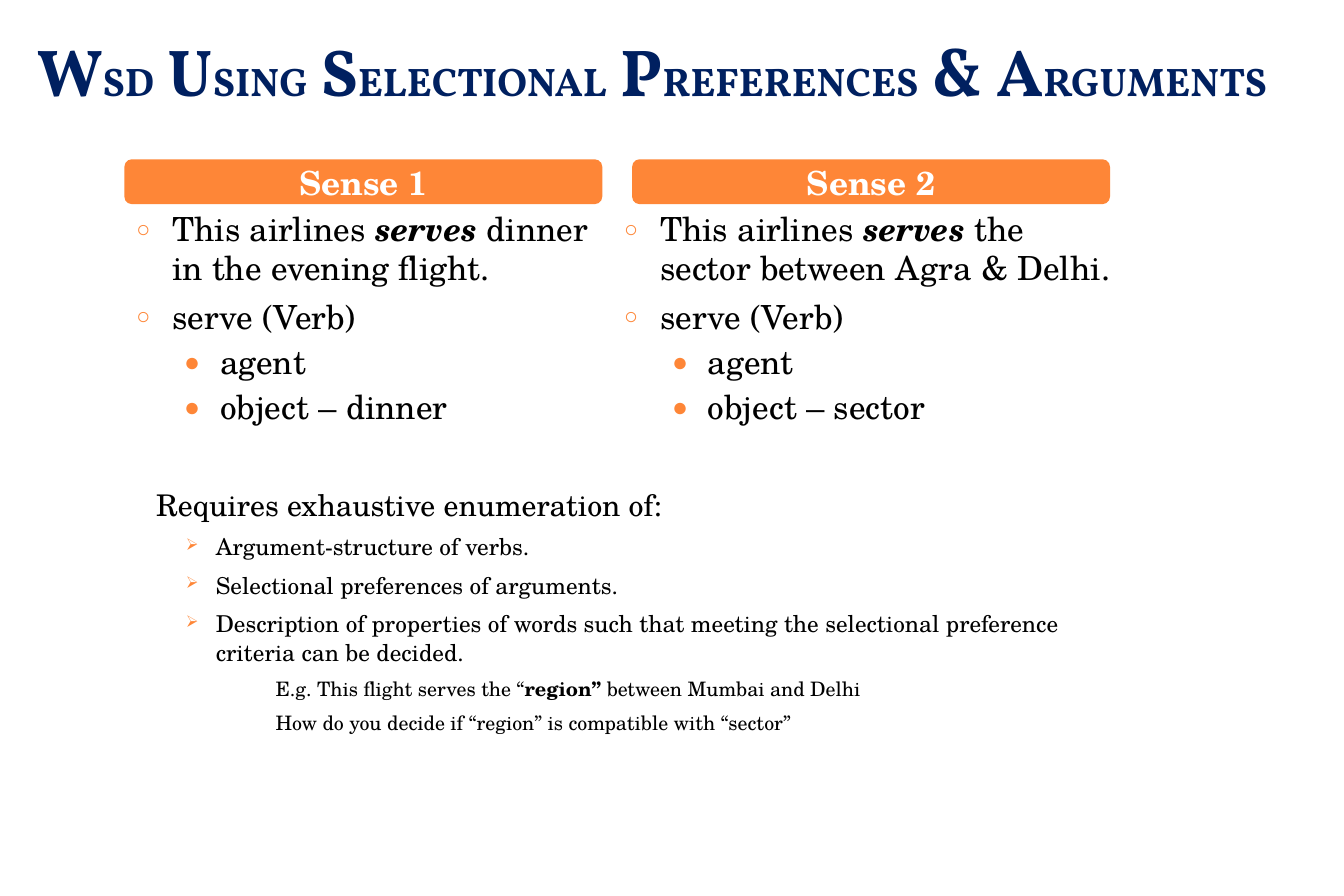
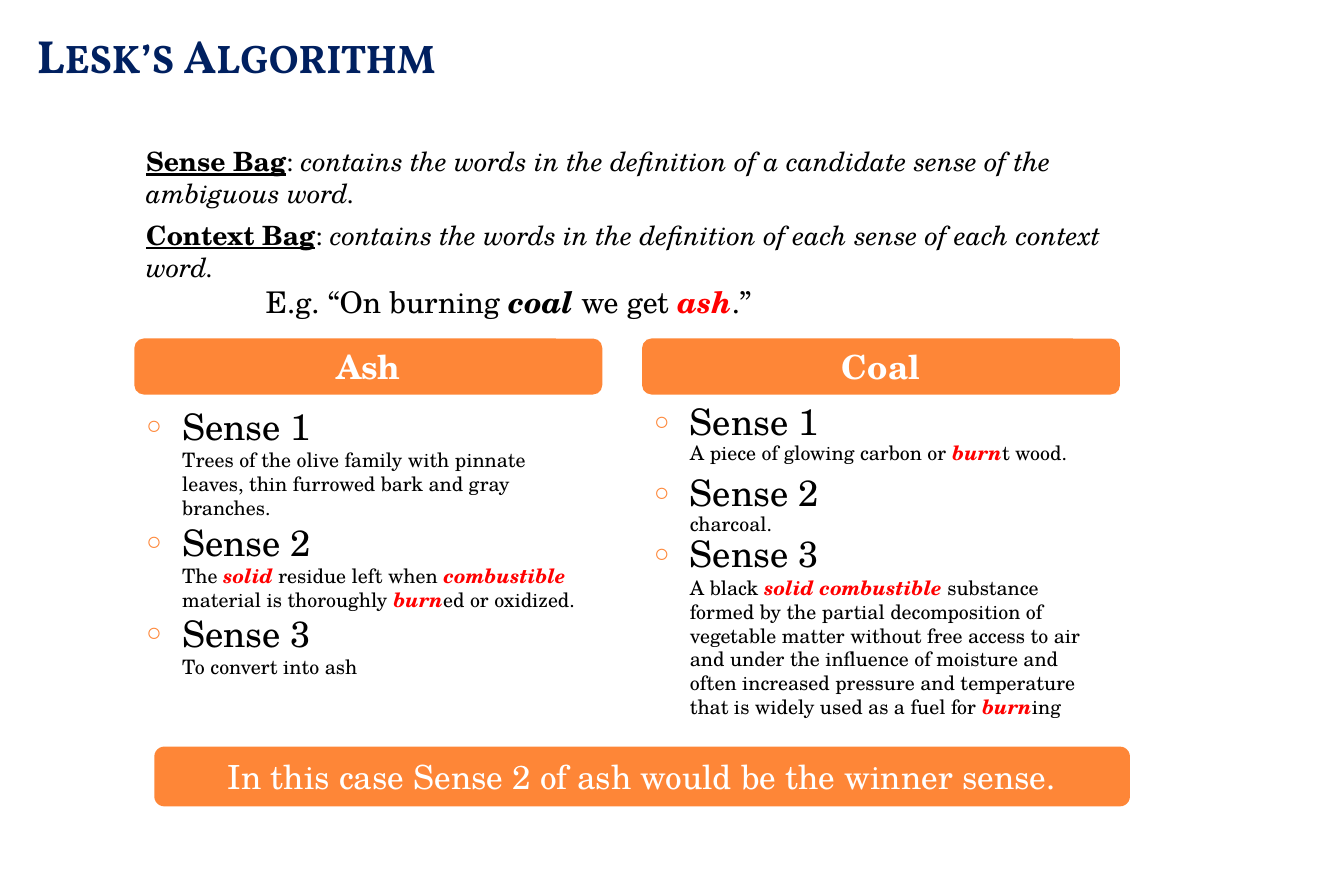
"""Build two slides on word sense disambiguation."""
from dataclasses import dataclass, replace
from typing import NamedTuple

from lxml import etree
from pptx import Presentation
from pptx.dml.color import RGBColor
from pptx.enum.shapes import MSO_SHAPE
from pptx.enum.text import MSO_ANCHOR, MSO_AUTO_SIZE, PP_ALIGN
from pptx.oxml.ns import qn
from pptx.util import Inches, Pt

ROUNDED = MSO_SHAPE.ROUNDED_RECTANGLE
MIDDLE, TOP = MSO_ANCHOR.MIDDLE, MSO_ANCHOR.TOP
LEFT, CENTER = PP_ALIGN.LEFT, PP_ALIGN.CENTER
NO_FIT = MSO_AUTO_SIZE.NONE

CELL = Inches(1) // 24  # the slide is a grid of square cells
COLUMNS, ROWS = 270, 180
TWO_CONTENT = 3

COLORS = {"title": "002060", "accent": "FE8637", "text": "000000",
          "light": "FFFFFF", "match": "FF0000"}
TITLE_FONT, BODY_FONT = "Vollkorn", "TeX Gyre Schola"

LOOKS = {
    "plain": {},
    "bold": {"bold": True},
    "italic": {"italic": True},
    "strong": {"bold": True, "italic": True},
    "match": {"bold": True, "italic": True},
    "term": {"bold": True, "underline": True},
}


class Area(NamedTuple):
    """A rectangle in grid cells."""
    column: float
    row: float
    columns: float
    rows: float


@dataclass(frozen=True)
class Kind:
    """Paragraph format; margin and indent are in inches."""
    size: float
    margin: float = 0
    indent: float = 0
    spacing: float = 1
    before: float = 0
    level: int = 0
    bullet: str = ""
    bullet_share: int = 70


class Line(NamedTuple):
    """A paragraph: its format and its (text, look) phrases."""
    kind: Kind
    phrases: tuple


class Bar(NamedTuple):
    """A rounded heading bar."""
    area: Area
    words: str
    look: str = "bold"


EXAMPLE = Kind(20, 0.3, -0.3, 0.98, 6, bullet="○")
ROLE = Kind(20, 0.7, -0.3, 0.97, 4, level=1, bullet="●", bullet_share=80)
LEAD = Kind(18, spacing=1.02, before=6)
NEED = Kind(14, 0.5, -0.25, 1.02, 6, level=1, bullet="➢")
CASE = Kind(12, 1.25, -0.25, 1.02, 6, level=2)
BAG = Kind(16, before=6)
SENTENCE = Kind(18, 1, spacing=1.02)
SENSE = Kind(22, 0.3, -0.3, bullet="○")
MEANING = Kind(12, 0.3)
TIGHT_SENSE = replace(SENSE, spacing=0.9)
TIGHT_MEANING = replace(MEANING, spacing=0.9)


def plain(kind: Kind, words: str) -> Line:
    """Return a line in a single plain look."""
    return Line(kind, ((words, "plain"),))


def place(shape, area: Area) -> None:
    """Move a shape to an area of the grid."""
    for side, cells in zip(("left", "top", "width", "height"), area):
        setattr(shape, side, round(cells * CELL))


def set_frame(shape, anchor) -> None:
    """Give a text frame wrapping, an anchor and a fixed size."""
    values = {"word_wrap": True, "auto_size": NO_FIT, "vertical_anchor": anchor}
    for name, value in values.items():
        setattr(shape.text_frame, name, value)


def add_run(paragraph, words: str, size: float, color: str,
            font: str = BODY_FONT, look: str = "plain") -> None:
    """Append formatted text to a paragraph."""
    run = paragraph.add_run()
    run.text = words
    values = {"name": font, "size": Pt(size), **LOOKS[look]}
    for name, value in values.items():
        setattr(run.font, name, value)
    run.font.color.rgb = RGBColor.from_string(COLORS[color])


def format_paragraph(paragraph, kind: Kind) -> None:
    """Apply spacing, indents and bullet."""
    values = {"level": kind.level, "alignment": LEFT,
              "line_spacing": kind.spacing, "space_before": Pt(kind.before)}
    for name, value in values.items():
        setattr(paragraph, name, value)
    properties = paragraph._p.get_or_add_pPr()
    properties.set("marL", str(Inches(kind.margin)))
    properties.set("indent", str(Inches(kind.indent)))
    if not kind.bullet:
        etree.SubElement(properties, qn("a:buNone"))
        return
    tint = etree.SubElement(properties, qn("a:buClr"))
    etree.SubElement(tint, qn("a:srgbClr"), val=COLORS["accent"])
    etree.SubElement(properties, qn("a:buSzPct"), val=str(kind.bullet_share * 1000))
    etree.SubElement(properties, qn("a:buChar"), char=kind.bullet)


def write_lines(shape, area: Area, lines: list[Line]) -> None:
    """Place a text shape and fill it with lines."""
    place(shape, area)
    set_frame(shape, TOP)
    for number, line in enumerate(lines):
        frame = shape.text_frame
        paragraph = frame.add_paragraph() if number else frame.paragraphs[0]
        format_paragraph(paragraph, line.kind)
        for words, look in line.phrases:
            color = "match" if look == "match" else "text"
            add_run(paragraph, words, line.kind.size, color, look=look)


def add_note(slide, area: Area, lines: list[Line]):
    """Add a text box of lines."""
    note = slide.shapes.add_textbox(0, 0, CELL, CELL)
    write_lines(note, area, lines)
    return note


def write_title(slide, area: Area, words: str, capital: float, small: float = 24) -> None:
    """Write the title in capitals with larger initials."""
    title = slide.shapes.title
    place(title, area)
    set_frame(title, MIDDLE)
    paragraph = title.text_frame.paragraphs[0]
    paragraph.alignment = LEFT
    for number, word in enumerate(words.split()):
        initial = (" " if number else "") + word[0]
        for letters, size in ((initial, capital), (word[1:], small)):
            if letters:
                add_run(paragraph, letters, size, "title", TITLE_FONT, "bold")


def add_bar(slide, bar: Bar) -> None:
    """Draw a heading bar."""
    shape = slide.shapes.add_shape(ROUNDED, 0, 0, CELL, CELL)
    place(shape, bar.area)
    set_frame(shape, MIDDLE)
    shape.shadow.inherit = False
    shape.fill.solid()
    shape.fill.fore_color.rgb = RGBColor.from_string(COLORS["accent"])
    shape.line.fill.background()
    paragraph = shape.text_frame.paragraphs[0]
    paragraph.alignment = CENTER
    add_run(paragraph, bar.words, 20, "light", look=bar.look)


def serve_lines(ending: str, filler: str) -> list[Line]:
    """Return the example and argument structure of one sense."""
    return [
        Line(EXAMPLE, (("This airlines ", "plain"), ("serves", "strong"),
                       (ending, "plain"))),
        plain(replace(EXAMPLE, spacing=0.97), "serve (Verb)"),
        plain(ROLE, "agent"),
        plain(ROLE, f"object – {filler}"),
    ]


def build_preferences(deck) -> None:
    """Build the slide on selectional preferences."""
    slide = deck.slides.add_slide(deck.slide_layouts[TWO_CONTENT])
    write_title(slide, Area(5, 4, 265, 20),
                "WSD USING SELECTIONAL PREFERENCES & ARGUMENTS", 40)
    write_lines(slide.placeholders[1], Area(25, 41, 96, 46),
                serve_lines(" dinner in the evening flight.", "dinner"))
    write_lines(slide.placeholders[2], Area(123, 41, 104, 46),
                serve_lines(" the sector between Agra & Delhi.", "sector"))
    for column, words in ((25, "Sense 1"), (127, "Sense 2")):
        add_bar(slide, Bar(Area(column, 32, 96, 9), words))
    needs = add_note(slide, Area(29, 87, 194, 70), [
        plain(LEAD, "Requires exhaustive enumeration of:"),
        plain(NEED, "Argument-structure of verbs."),
        plain(NEED, "Selectional preferences of arguments."),
        plain(NEED, "Description of properties of words such that meeting the "
                    "selectional preference criteria can be decided."),
        Line(CASE, (("E.g. This flight serves the “", "plain"), ("region”", "bold"),
                    (" between Mumbai and Delhi", "plain"))),
        plain(CASE, "How do you decide if “region” is compatible with “sector”"),
    ])
    needs.text_frame.margin_top = Inches(0.44)


def build_lesk(deck) -> None:
    """Build the slide on Lesk's algorithm."""
    slide = deck.slides.add_slide(deck.slide_layouts[TWO_CONTENT])
    write_title(slide, Area(5, 4, 215.5, 14), "LESK’S ALGORITHM", 28)
    write_lines(slide.placeholders[1], Area(27, 80, 94, 64), [
        plain(SENSE, "Sense 1"),
        plain(MEANING, "Trees of the olive family with pinnate leaves, "
                       "thin furrowed bark and gray branches."),
        plain(SENSE, "Sense 2"),
        Line(MEANING, (("The ", "plain"), ("solid", "match"),
                       (" residue left when ", "plain"), ("combustible", "match"),
                       (" material is thoroughly ", "plain"), ("burn", "match"),
                       ("ed or oxidized.", "plain"))),
        plain(SENSE, "Sense 3"),
        plain(MEANING, "To convert into ash"),
    ])
    write_lines(slide.placeholders[2], Area(129, 80, 96, 68), [
        plain(TIGHT_SENSE, "Sense 1"),
        Line(TIGHT_MEANING, (("A piece of glowing carbon or ", "plain"),
                             ("burn", "match"), ("t wood.", "plain"))),
        plain(replace(TIGHT_SENSE, before=6), "Sense 2"),
        plain(TIGHT_MEANING, "charcoal."),
        plain(TIGHT_SENSE, "Sense 3"),
        Line(MEANING, (("A black ", "plain"), ("solid combustible", "match"),
                       (" substance formed by the partial decomposition of vegetable "
                        "matter without free access to air and under the influence of "
                        "moisture and often increased pressure and temperature that is "
                        "widely used as a fuel for ", "plain"),
                       ("burn", "match"), ("ing", "plain"))),
    ])
    bars = (
        Bar(Area(27, 68, 94, 11.25), "Ash"),
        Bar(Area(129, 68, 96, 11.25), "Coal"),
        Bar(Area(31, 150, 196, 12),
            "In this case Sense 2 of ash would be the winner sense.", "plain"),
    )
    for bar in bars:
        add_bar(slide, bar)
    bags = (
        ("Sense Bag", "a candidate sense of the ambiguous word."),
        ("Context Bag", "each sense of each context word."),
    )
    add_note(slide, Area(27, 28, 198, 37.75), [
        *(Line(BAG, ((term, "term"), (": ", "plain"),
                     (f"contains the words in the definition of {scope}", "italic")))
          for term, scope in bags),
        Line(SENTENCE, (("E.g. “On burning ", "plain"), ("coal", "strong"),
                        (" we get ", "plain"), ("ash", "match"), (".”", "plain"))),
    ])


def main() -> None:
    """Build and save the presentation."""
    deck = Presentation()
    deck.slide_width, deck.slide_height = COLUMNS * CELL, ROWS * CELL
    build_preferences(deck)
    build_lesk(deck)
    deck.save("out.pptx")


main()
